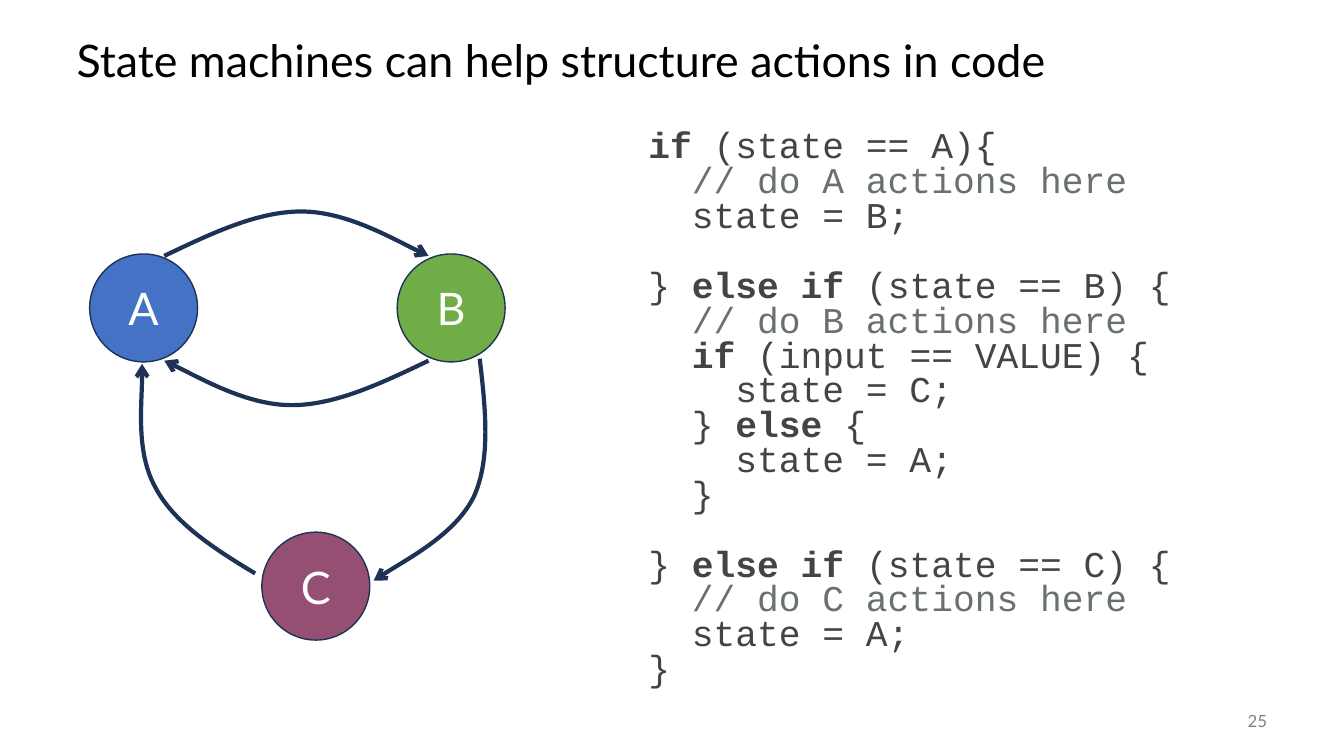
from copy import deepcopy
from dataclasses import dataclass

from lxml import etree
from pptx import Presentation
from pptx.dml.color import RGBColor as Rgb
from pptx.enum import shapes, text
from pptx.oxml.ns import qn
from pptx.util import Cm, Pt


@dataclass(frozen=True)
class Theme:
    ink: str = "000000"
    grey: str = "808080"
    code: str = "444444"
    note: str = "697070"
    edge: str = "1E3256"
    white: str = "FFFFFF"
    blue: str = "4472C4"
    green: str = "70AD47"
    plum: str = "954F72"
    sans: str = "Lato"
    mono: str = "Courier New"
    head: float = 32
    body: float = 25.9
    small: float = 12


T = Theme()
SIZE = 2.72

STATES = [
    ("A", 2.26, 6.4, T.blue),
    ("B", 10.01, 6.4, T.green),
    ("C", 6.6, 13.41, T.plum),
]

# Each arc is a start point followed by two cubic segments
A_TO_B = [(4.14, 6.45), (5.31, 5.89), (6.48, 5.33), (7.59, 5.33),
          (8.69, 5.33), (10.19, 6.17), (10.8, 6.45)]
B_TO_A = [(14.94 - x, 15.54 - y) for x, y in A_TO_B]
B_TO_C = [(12.09, 9.04), (12.24, 10.31), (12.37, 11.58), (11.94, 12.52),
          (11.48, 13.44), (9.98, 14.25), (9.42, 14.63)]
C_TO_A = [(6.43, 14.45), (5.38, 13.82), (4.37, 13.16), (3.91, 12.27),
          (3.43, 11.4), (3.61, 9.78), (3.58, 9.17)]

PLAIN, BOLD, NOTE = (T.code, False), (T.code, True), (T.note, False)
CODE = [
    ("if", BOLD),
    (" (state == A){\n  ", PLAIN),
    ("// do A actions here\n", NOTE),
    ("  state = B;\n\n} ", PLAIN),
    ("else if", BOLD),
    (" (state == B) {\n  ", PLAIN),
    ("// do B actions here\n  ", NOTE),
    ("if", BOLD),
    (" (input == VALUE) {\n    state = C;\n  } ", PLAIN),
    ("else", BOLD),
    (" {\n    state = A;\n  }\n\n} ", PLAIN),
    ("else if", BOLD),
    (" (state == C) {\n  ", PLAIN),
    ("// do C actions here\n  ", NOTE),
    ("state = A;\n}", PLAIN),
]


def style(item, form):
    for name, value in form.items():
        setattr(item, name, value)


def add_run(para, words, face, size, tint, bold=False):
    run = para.add_run()
    run.text = words
    style(run.font, {"name": face, "size": Pt(size), "bold": bold})
    run.font.color.rgb = Rgb.from_string(tint)
    return run


def add_box(slide, place, anchor, form):
    """Add a wrapped text box and return its formatted first paragraph."""
    frame = slide.shapes.add_textbox(*map(Cm, place)).text_frame
    style(frame, {"word_wrap": True, "vertical_anchor": anchor})
    style(frame.paragraphs[0], form)
    return frame.paragraphs[0]


def add_code(para):
    """Write the code runs; line breaks take the type size of their run."""
    for words, (tint, bold) in CODE:
        for row, part in enumerate(words.split("\n")):
            if row:
                para.add_line_break()
                para._p[-1].append(deepcopy(run._r.rPr))
            if part or not row:
                run = add_run(para, part, T.mono, T.body, tint, bold)


def set_line(shape, width):
    shape.shadow.inherit = False
    shape.line.color.rgb = Rgb.from_string(T.edge)
    shape.line.width = Pt(width)


def add_state(slide, name, left, top, tint):
    oval = slide.shapes.add_shape(shapes.MSO_SHAPE.OVAL, *map(Cm, (left, top, SIZE, SIZE)))
    oval.fill.solid()
    oval.fill.fore_color.rgb = Rgb.from_string(tint)
    set_line(oval, 1)
    oval.text_frame.vertical_anchor = text.MSO_ANCHOR.MIDDLE
    para = oval.text_frame.paragraphs[0]
    para.alignment = text.PP_ALIGN.CENTER
    add_run(para, name, T.sans, T.head, T.white)


def add_arc(slide, points):
    """Draw cubic segments through the points, with an arrowhead at the end."""
    spots = [(Cm(x), Cm(y)) for x, y in points]
    pen = slide.shapes.build_freeform(*spots[0])
    pen.add_line_segments(spots[1:], close=False)
    arc = pen.convert_to_shape()
    arc.fill.background()
    set_line(arc, 3)
    steps = list(arc._element.iter(qn("a:lnTo")))
    track = steps[0].getparent()
    for first in range(0, len(steps), 3):
        curve = etree.SubElement(track, qn("a:cubicBezTo"))
        for step in steps[first:first + 3]:
            curve.append(step[0])
            track.remove(step)
    etree.SubElement(arc.line._get_or_add_ln(), qn("a:tailEnd"), type="arrow")


def main():
    deck = Presentation()
    style(deck, {"slide_width": Cm(33.87), "slide_height": Cm(19.05)})
    slide = deck.slides.add_slide(deck.slide_layouts[6])
    middle = text.MSO_ANCHOR.MIDDLE

    title = add_box(slide, (1.68, 0.64, 30.48, 1.9), middle, {"line_spacing": 0.9})
    add_run(title, "State machines can help structure actions in code", T.sans, T.head, T.ink)
    number = add_box(slide, (29.64, 17.65, 2.54, 1.02), middle,
                     {"alignment": text.PP_ALIGN.RIGHT})
    add_run(number, "25", T.sans, T.small, T.grey)
    add_code(add_box(slide, (16.09, 3.18, 16.1, 14.94), text.MSO_ANCHOR.TOP,
                     {"line_spacing": 0.8}))

    for state in STATES:
        add_state(slide, *state)
    for arc in (A_TO_B, B_TO_A, B_TO_C, C_TO_A):
        add_arc(slide, arc)
    deck.save("out.pptx")


if __name__ == "__main__":
    main()
